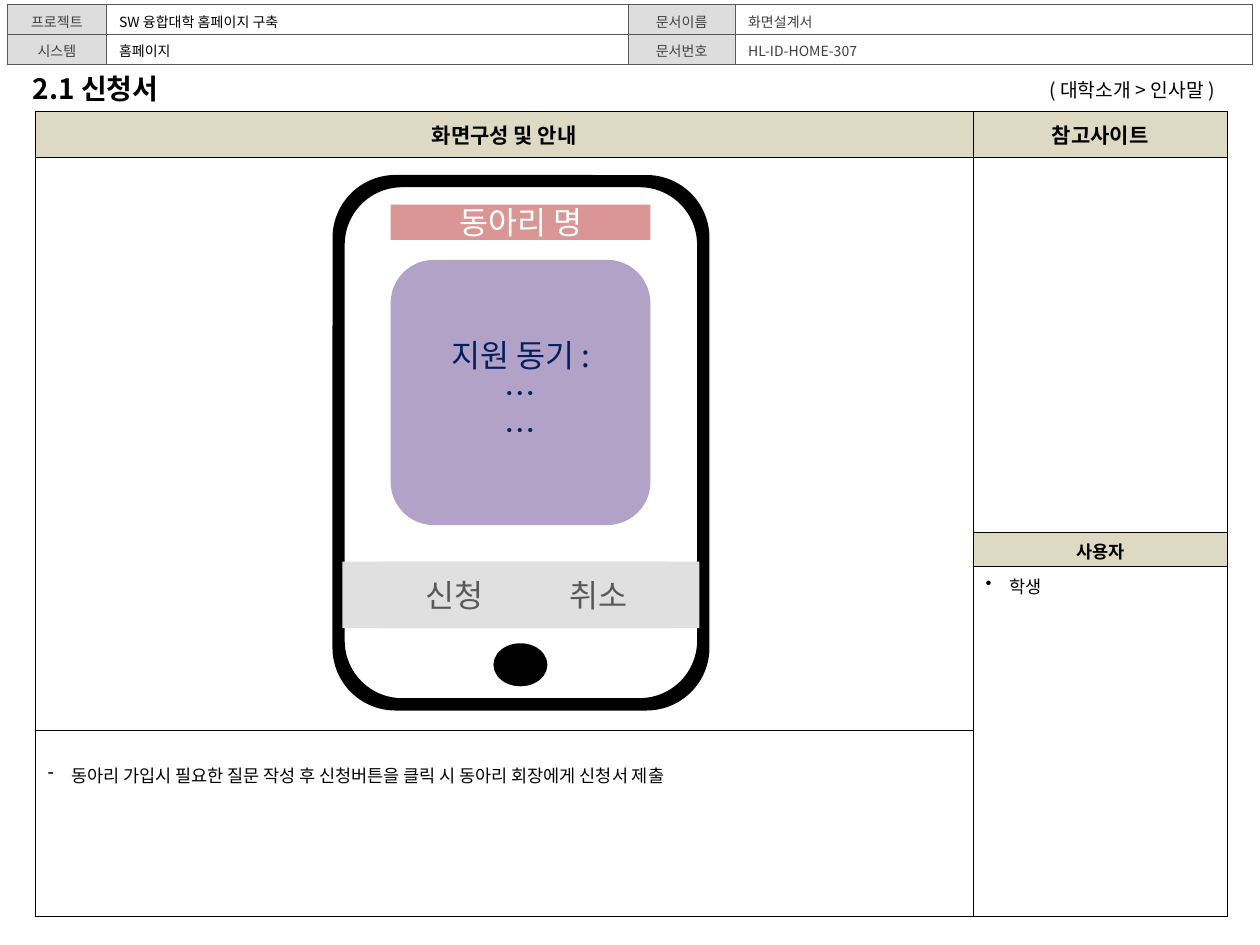
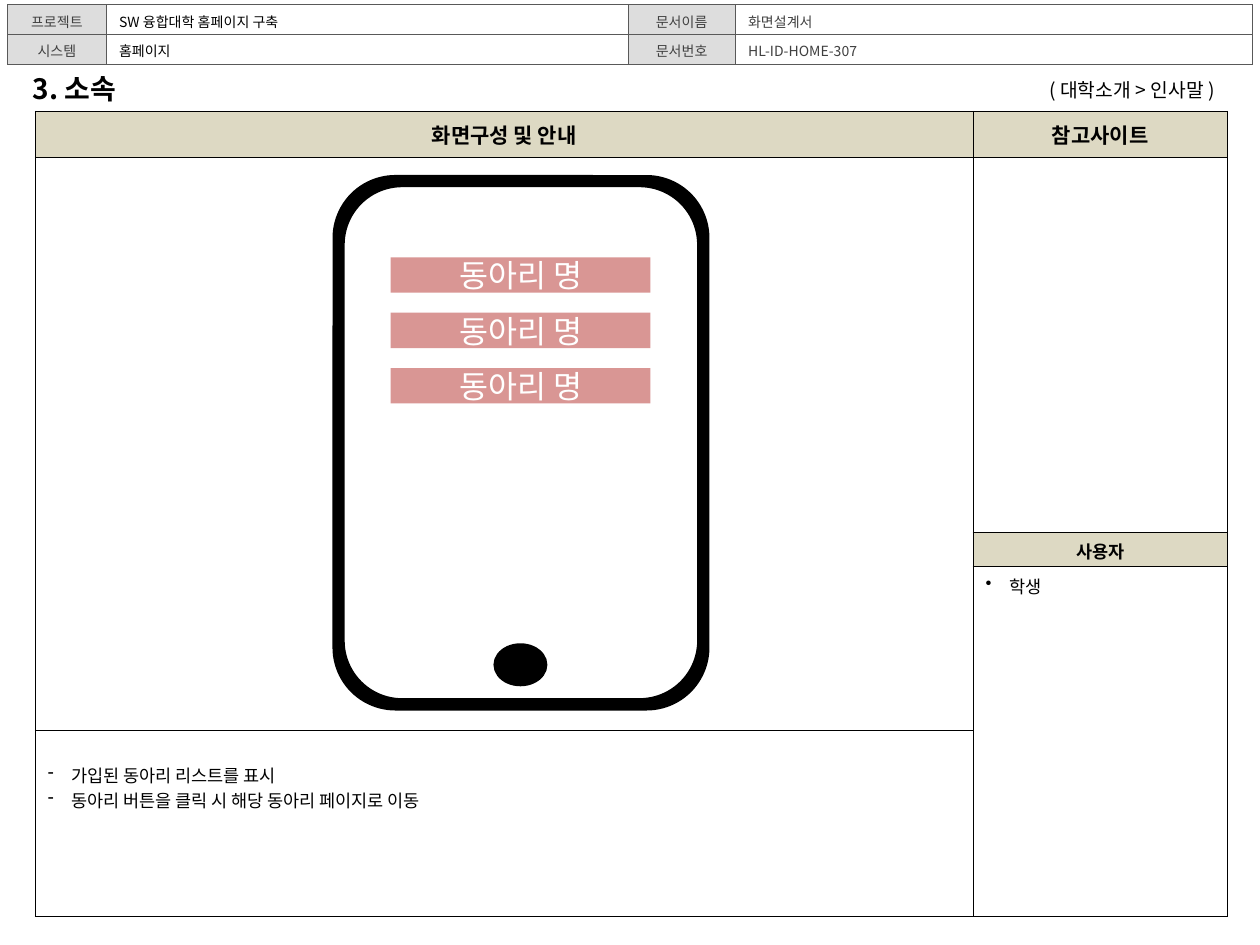
"""Builds two screen-design slides with a shared document header and phone mock-up."""
from lxml.etree import SubElement
from pptx import Presentation
from pptx.dml.color import RGBColor
from pptx.enum.shapes import MSO_SHAPE
from pptx.enum.text import MSO_ANCHOR, MSO_AUTO_SIZE, PP_ALIGN
from pptx.oxml.ns import qn
from pptx.util import Pt

FONT = "Noto Sans CJK KR"
COLORS = {
    "black": "000000", "white": "FFFFFF", "dark": "404040", "border": "595959",
    "label": "DDDDDD", "heading": "DDD9C3", "club": "D99694",
    "form": "B3A2C7", "navy": "002060", "bar": "E0E0E0",
}
HEADER_ROWS = [
    ("프로젝트", "SW 융합대학 홈페이지 구축", "문서이름", "화면설계서"),
    ("시스템", "홈페이지", "문서번호", "HL-ID-HOME-307"),
]
CLUB_LEFT, CLUB_WIDTH, CLUB_HEIGHT = 223.2, 148.5, 20.2


def rgb(name):
    return RGBColor.from_string(COLORS[name])


def write(frame, lines, size, color="black", align=PP_ALIGN.LEFT, bold=False, bullet=None):
    for index, line in enumerate(lines):
        para = frame.paragraphs[0] if index == 0 else frame.add_paragraph()
        para.text = line
        para.alignment = align
        para.font.size = Pt(size)
        para.font.bold = bold
        para.font.name = FONT
        para.font.color.rgb = rgb(color)
        properties = para.font._element
        SubElement(properties, qn("a:ea"), typeface=FONT)
        if bullet:
            paragraph_properties = properties.getparent()
            paragraph_properties.set("marL", str(Pt(13.5)))
            paragraph_properties.set("indent", str(Pt(-13.5)))
            mark = paragraph_properties.makeelement(qn("a:buChar"), {"char": bullet})
            properties.addprevious(mark)


def style_cell(cell, border, width, fill=None):
    properties = cell._tc.get_or_add_tcPr()
    for side in ("a:lnL", "a:lnR", "a:lnT", "a:lnB"):
        line = SubElement(properties, qn(side), w=str(Pt(width)))
        solid = SubElement(line, qn("a:solidFill"))
        SubElement(solid, qn("a:srgbClr"), val=COLORS[border])
    if fill:
        cell.fill.solid()
        cell.fill.fore_color.rgb = rgb(fill)
    else:
        cell.fill.background()
    cell.margin_bottom = Pt(0)


def add_grid(page, left, top, widths, heights, border, line_width):
    frame = page.shapes.add_table(len(heights), len(widths), Pt(left), Pt(top),
                                  Pt(sum(widths)), Pt(sum(heights)))
    table = frame.table
    table.first_row = table.horz_banding = False
    for column, width in zip(table.columns, widths):
        column.width = Pt(width)
    for row, height in zip(table.rows, heights):
        row.height = Pt(height)
    for cell in table.iter_cells():
        style_cell(cell, border, line_width)
    return table


def fill_cell(cell, fill):
    cell.fill.solid()
    cell.fill.fore_color.rgb = rgb(fill)


def add_document_header(page):
    table = add_grid(page, 4.3, 2.6, [56.5, 298, 61.5, 295.5], [16.9, 16.9], "border", 0.25)
    for row, texts in enumerate(HEADER_ROWS):
        for column, text in enumerate(texts):
            cell = table.cell(row, column)
            is_label = column % 2 == 0
            fill_cell(cell, "label" if is_label else "white")
            write(cell.text_frame, [text], 8, "black" if column == 1 else "dark",
                  PP_ALIGN.CENTER if is_label else PP_ALIGN.LEFT)


def add_layout_table(page, notes):
    table = add_grid(page, 20.2, 63.6, [535.8, 145.4],
                     [26.2, 214.4, 19.6, 93.6, 106.2], "black", 0.5)
    table.cell(1, 0).merge(table.cell(3, 0))
    table.cell(3, 1).merge(table.cell(4, 1))
    headings = [(0, 0, "화면구성 및 안내", 12), (0, 1, "참고사이트", 12), (2, 1, "사용자", 10)]
    for row, column, text, size in headings:
        cell = table.cell(row, column)
        fill_cell(cell, "heading")
        write(cell.text_frame, [text], size, align=PP_ALIGN.CENTER, bold=True)
        if row == 0:
            cell.vertical_anchor = MSO_ANCHOR.MIDDLE
            cell.margin_bottom = Pt(3.6)
    write(table.cell(3, 1).text_frame, ["학생"], 10, bullet="•")
    description = table.cell(4, 0)
    description.margin_top = Pt(18)
    write(description.text_frame, notes, 10, bullet="-")


def add_title(page, text):
    title = page.shapes.title
    title.left, title.top, title.width, title.height = Pt(11.5), Pt(37.4), Pt(200), Pt(26.6)
    frame = title.text_frame
    frame.auto_size = MSO_AUTO_SIZE.NONE
    frame.vertical_anchor = MSO_ANCHOR.MIDDLE
    write(frame, [text], 16, bold=True)


def add_location(page):
    box = page.shapes.add_textbox(Pt(223.2), Pt(41), Pt(478), Pt(20.9))
    box.text_frame.word_wrap = True
    box.text_frame.vertical_anchor = MSO_ANCHOR.MIDDLE
    write(box.text_frame, ["( 대학소개 > 인사말 )"], 11, align=PP_ALIGN.RIGHT)


def add_box(page, kind, left, top, width, height, fill, outlined=False, lines=(), color="white"):
    shape = page.shapes.add_shape(kind, Pt(left), Pt(top), Pt(width), Pt(height))
    shape.shadow.inherit = False
    shape.fill.solid()
    shape.fill.fore_color.rgb = rgb(fill)
    if outlined:
        shape.line.color.rgb = rgb("black")
        shape.line.width = Pt(2)
    else:
        shape.line.fill.background()
    shape.text_frame.vertical_anchor = MSO_ANCHOR.MIDDLE
    write(shape.text_frame, lines, 18, color, PP_ALIGN.CENTER)


def add_phone(page):
    add_box(page, MSO_SHAPE.ROUNDED_RECTANGLE, 190, 100, 215.4, 306, "black")
    add_box(page, MSO_SHAPE.ROUNDED_RECTANGLE, 196, 106, 203.4, 294, "white", True)
    add_box(page, MSO_SHAPE.OVAL, 283, 368.6, 28.8, 22.6, "black", True)


def add_club(page, top):
    add_box(page, MSO_SHAPE.RECTANGLE, CLUB_LEFT, top, CLUB_WIDTH, CLUB_HEIGHT,
            "club", lines=["동아리 명"])


def add_application_form(page):
    add_club(page, 116.9)
    add_box(page, MSO_SHAPE.ROUNDED_RECTANGLE, CLUB_LEFT, 148.5, CLUB_WIDTH, 151.6, "form",
            lines=["지원 동기 :", "…", "…"], color="navy")
    add_box(page, MSO_SHAPE.RECTANGLE, 195.7, 321, 204, 38, "bar")
    for index, text in enumerate(["신청", "취소"]):
        add_box(page, MSO_SHAPE.RECTANGLE, 218.8 + index * 82.1, 321, 82.1, 38, "bar",
                lines=[text], color="border")


def add_club_list(page):
    for index in range(3):
        add_club(page, 147 + index * 31.7)


def add_screen(deck, title, notes, add_content):
    page = deck.slides.add_slide(deck.slide_layouts[5])
    add_document_header(page)
    add_layout_table(page, notes)
    add_title(page, title)
    add_location(page)
    add_phone(page)
    add_content(page)


def main():
    deck = Presentation()
    deck.slide_width, deck.slide_height = Pt(720), Pt(540)
    add_screen(deck, "2.1 신청서",
               ["동아리 가입시 필요한 질문 작성 후 신청버튼을 클릭 시 동아리 회장에게 신청서 제출"],
               add_application_form)
    add_screen(deck, "3. 소속",
               ["가입된 동아리 리스트를 표시", "동아리 버튼을 클릭 시 해당 동아리 페이지로 이동"],
               add_club_list)
    deck.save("out.pptx")


main()
